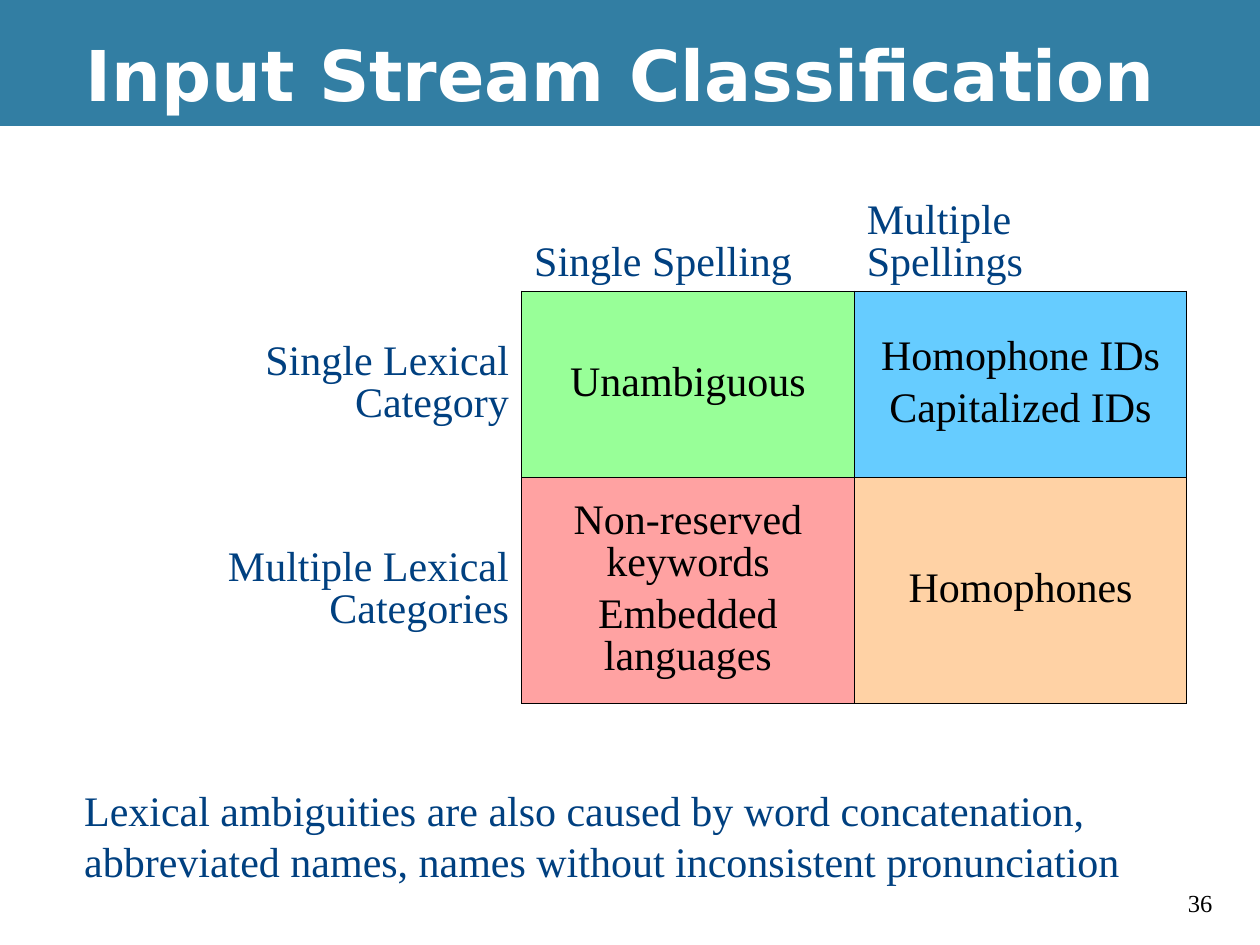
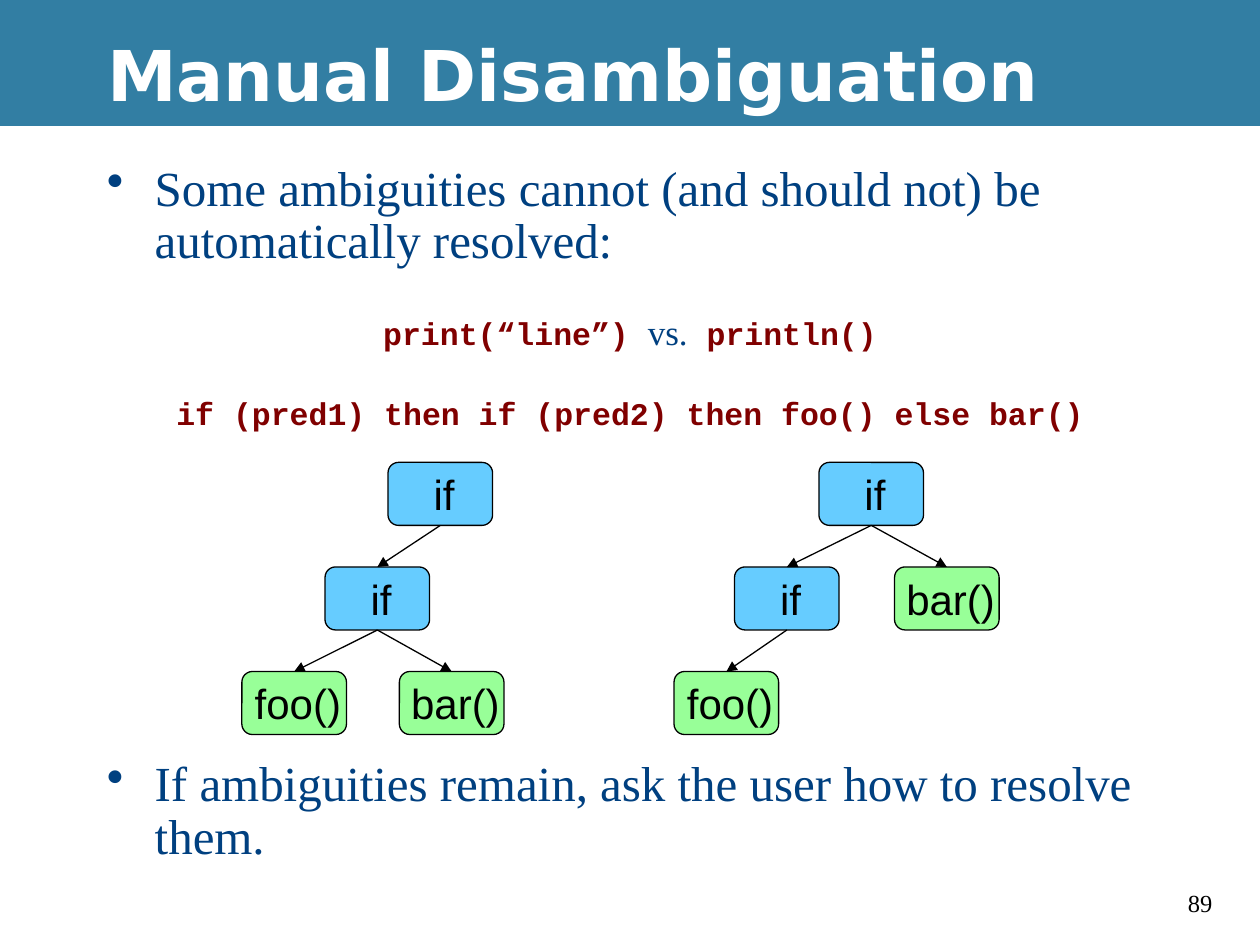
from dataclasses import dataclass

from lxml import etree
from pptx import Presentation
from pptx.dml.color import RGBColor
from pptx.enum.shapes import MSO_CONNECTOR, MSO_SHAPE
from pptx.enum.text import MSO_ANCHOR, MSO_AUTO_SIZE, PP_ALIGN
from pptx.oxml import parse_xml
from pptx.oxml.ns import nsdecls, qn
from pptx.util import Inches, Pt

RECTANGLE = MSO_SHAPE.RECTANGLE
NODE_SHAPE = MSO_SHAPE.FLOWCHART_ALTERNATE_PROCESS
STRAIGHT = MSO_CONNECTOR.STRAIGHT
LEFT, CENTER, RIGHT = PP_ALIGN.LEFT, PP_ALIGN.CENTER, PP_ALIGN.RIGHT
MIDDLE, BOTTOM = MSO_ANCHOR.MIDDLE, MSO_ANCHOR.BOTTOM
NO_AUTOFIT = MSO_AUTO_SIZE.NONE
TITLE_ONLY = 5
BOTTOM_SIDE, TOP_SIDE = 2, 0


@dataclass(frozen=True)
class Theme:
    band: str = "327EA3"
    white: str = "FFFFFF"
    black: str = "000000"
    navy: str = "004080"
    maroon: str = "800000"
    green: str = "98FF98"
    blue: str = "66CCFF"
    red: str = "FFA2A2"
    orange: str = "FFD2A5"
    title_font: str = "DejaVu Sans"
    body_font: str = "Times New Roman"
    code_font: str = "Courier New"
    node_font: str = "Arial"
    title_size: int = 40
    bullet_size: int = 28
    text_size: int = 24
    versus_size: int = 20
    code_size: int = 18
    number_size: int = 14


theme = Theme()


def write(para, text, font=theme.body_font, size=theme.text_size, color=theme.navy,
          bold=False, align=LEFT, before=0, spacing=None):
    """Add a formatted span to a paragraph and set the paragraph's layout."""
    para.alignment = align
    para.space_before = Pt(before)
    if spacing:
        para.line_spacing = spacing
    span = para.add_run()
    span.text = text
    span.font.name = font
    span.font.size = Pt(size)
    span.font.bold = bold
    span.font.color.rgb = RGBColor.from_string(color)


def add_text_box(page, left, top, width, height):
    """Add a wrapping text box and return its text frame."""
    frame = page.shapes.add_textbox(
        Inches(left), Inches(top), Inches(width), Inches(height)).text_frame
    frame.word_wrap = True
    return frame


deck = Presentation()
deck.slide_width = Inches(10)
deck.slide_height = Inches(7.5)

# Shared page frame: band, title and page number
pages = []
for title_text, number, title_place in (
    ("Input Stream Classification", "36", (0.58, 0.25, 9.2, 0.67)),
    ("Manual Disambiguation", "89", (0.75, 0.08, 9.25, 1)),
):
    page = deck.slides.add_slide(deck.slide_layouts[TITLE_ONLY])
    page.background.fill.solid()
    page.background.fill.fore_color.rgb = RGBColor.from_string(theme.white)

    band = page.shapes.add_shape(RECTANGLE, 0, 0, deck.slide_width, Inches(1))
    band.shadow.inherit = False
    band.fill.solid()
    band.fill.fore_color.rgb = RGBColor.from_string(theme.band)
    band.line.fill.background()
    title = page.shapes.title
    title._element.addprevious(band._element)

    title.left, title.top, title.width, title.height = map(Inches, title_place)
    title.text_frame.auto_size = NO_AUTOFIT
    title.text_frame.vertical_anchor = MIDDLE
    write(title.text_frame.paragraphs[0], title_text, font=theme.title_font,
          size=theme.title_size, color=theme.white, bold=True)

    number_frame = add_text_box(page, 9.33, 7, 0.5, 0.34)
    write(number_frame.paragraphs[0], number, size=theme.number_size, color=theme.black)
    pages.append(page)

classification_page, manual_page = pages

# Classification table: each cell holds its paragraphs and fill
rows = [
    [([], None), (["Single Spelling"], None), (["Multiple Spellings"], None)],
    [(["Single Lexical Category"], None),
     (["Unambiguous"], theme.green),
     (["Homophone IDs", "Capitalized IDs"], theme.blue)],
    [(["Multiple Lexical Categories"], None),
     (["Non-reserved keywords", "Embedded languages"], theme.red),
     (["Homophones"], theme.orange)],
]
table = classification_page.shapes.add_table(
    3, 3, Inches(1.5), Inches(0.83), Inches(7.92), Inches(4.75)).table
table.first_row = False
table.horz_banding = False
for column in table.columns:
    column.width = Inches(2.64)
for row, height in zip(table.rows, (1.48, 1.48, 1.79)):
    row.height = Inches(height)

for row_index, row in enumerate(rows):
    for column_index, (texts, fill) in enumerate(row):
        cell = table.cell(row_index, column_index)
        cell.vertical_anchor = MIDDLE if row_index else BOTTOM
        if fill:
            cell.fill.solid()
            cell.fill.fore_color.rgb = RGBColor.from_string(fill)
            align, color = CENTER, theme.black
        else:
            cell.fill.background()
            align, color = (LEFT if row_index == 0 else RIGHT), theme.navy
        for index, text in enumerate(texts):
            para = cell.text_frame.add_paragraph() if index else cell.text_frame.paragraphs[0]
            write(para, text, color=color, align=align,
                  before=6 if index else 0, spacing=0.9)

        # Header cells only draw the edge they share with the filled grid
        if fill:
            drawn = "LRTB"
        elif texts:
            drawn = "R" if row_index else "B"
        else:
            drawn = ""
        properties = cell._tc.get_or_add_tcPr()
        for position, side in enumerate("LRTB"):
            paint = (f'<a:solidFill><a:srgbClr val="{theme.black}"/></a:solidFill>'
                     if side in drawn else "<a:noFill/>")
            properties.insert(position, parse_xml(
                f'<a:ln{side} {nsdecls("a")} w="{Pt(0.45)}">{paint}</a:ln{side}>'))

note_frame = add_text_box(classification_page, 0.57, 6.18, 9.18, 0.9)
write(note_frame.paragraphs[0],
      "Lexical ambiguities are also caused by word concatenation, "
      "abbreviated names, names without inconsistent pronunciation")

# Manual disambiguation: bullets around two centred code lines
body_frame = add_text_box(manual_page, 0.75, 1.25, 8.5, 5.83)
first_bullet = body_frame.paragraphs[0]
print_line, if_line, last_bullet = [body_frame.add_paragraph() for _ in range(3)]

for para, text, before in (
    (first_bullet, "Some ambiguities cannot (and should not) be automatically resolved:", 0),
    (last_bullet, "If ambiguities remain, ask the user how to resolve them.", 187),
):
    properties = para._p.get_or_add_pPr()
    properties.set("marL", str(Inches(0.38)))
    properties.set("indent", str(-Inches(0.38)))
    bullet_color = etree.SubElement(properties, qn("a:buClr"))
    etree.SubElement(bullet_color, qn("a:srgbClr"), val=theme.navy)
    etree.SubElement(properties, qn("a:buChar"), char="•")
    write(para, text, size=theme.bullet_size, before=before, spacing=0.9)

code_line = dict(align=CENTER, before=26, spacing=0.9)
code = dict(font=theme.code_font, size=theme.code_size, color=theme.maroon,
            bold=True, **code_line)
write(print_line, "print(“line”) ", **code)
write(print_line, "vs.", size=theme.versus_size, **code_line)
write(print_line, " println()", **code)
write(if_line, "if (pred1) then if (pred2) then foo() else bar()", **code)

# Syntax trees: label, left edge, level and parent index of each node
trees = [
    [("if", 3.08, 0, None), ("if", 2.58, 1, 0), ("foo()", 1.92, 2, 1), ("bar()", 3.17, 2, 1)],
    [("if", 6.5, 0, None), ("if", 5.83, 1, 0), ("foo()", 5.35, 2, 1), ("bar()", 7.1, 1, 0)],
]
for tree in trees:
    nodes = []
    for label, left, level, parent in tree:
        node = manual_page.shapes.add_shape(
            NODE_SHAPE, Inches(left), Inches(3.67 + level * 0.83), Inches(0.83), Inches(0.5))
        node.shadow.inherit = False
        node.fill.solid()
        node.fill.fore_color.rgb = RGBColor.from_string(
            theme.blue if label == "if" else theme.green)
        node.line.color.rgb = RGBColor.from_string(theme.black)
        node.line.width = Pt(0.75)
        frame = node.text_frame
        frame.word_wrap = False
        frame.vertical_anchor = MIDDLE
        frame.margin_left, frame.margin_right = Inches(0.06), 0
        write(frame.paragraphs[0], label, font=theme.node_font,
              color=theme.black, align=CENTER)
        nodes.append(node)
        if parent is None:
            continue

        branch = manual_page.shapes.add_connector(STRAIGHT, 0, 0, 0, 0)
        branch.begin_connect(nodes[parent], BOTTOM_SIDE)
        branch.end_connect(node, TOP_SIDE)
        branch.line.color.rgb = RGBColor.from_string(theme.black)
        branch.line.width = Pt(0.75)
        etree.SubElement(branch.line._get_or_add_ln(), qn("a:tailEnd"), type="triangle")
        etree.SubElement(branch._element.spPr, qn("a:effectLst"))

deck.save("out.pptx")
